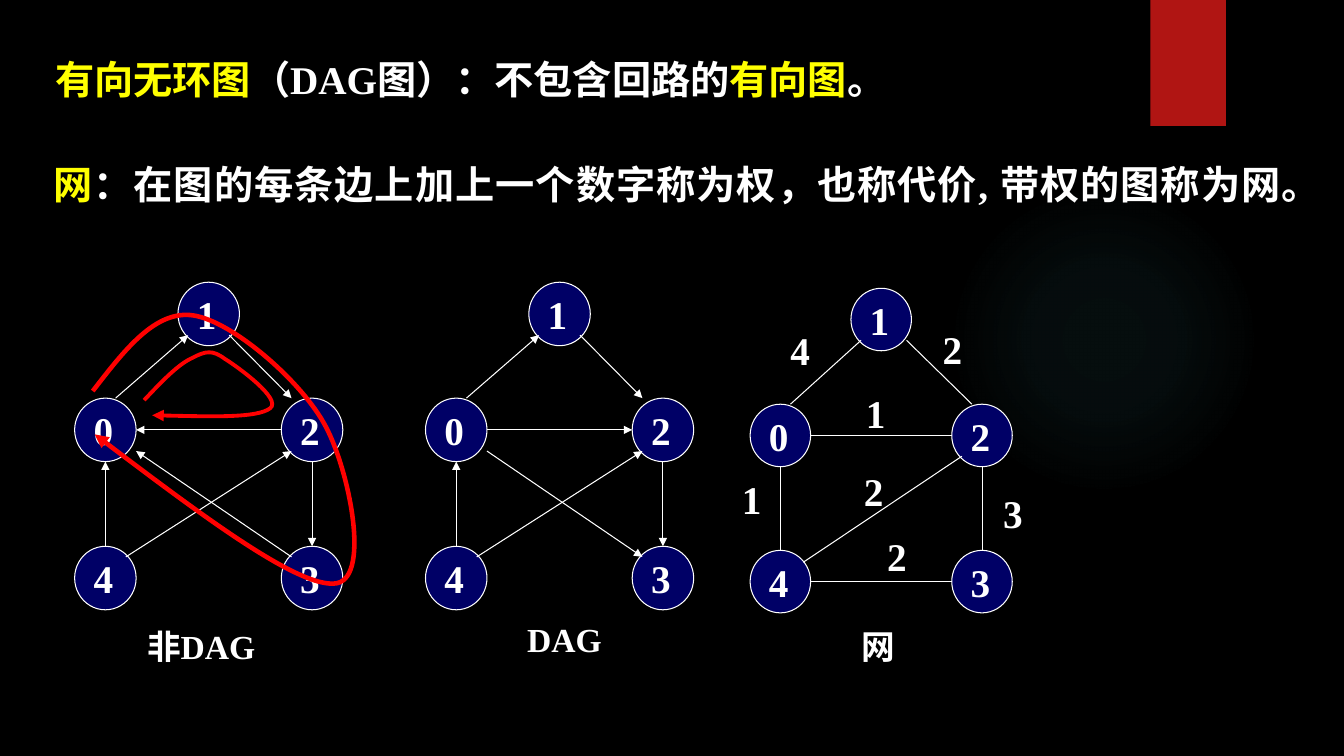
from lxml import etree
from pptx import Presentation
from pptx import util as u
from pptx.dml.color import RGBColor
from pptx.enum import lang, shapes, text
from pptx.oxml import parse_xml
from pptx.oxml.ns import qn

WHITE, YELLOW, RED, NAVY = "FFFFFF", "FFFF00", "FF0000", "000066"
NAMESPACE = "http://schemas.openxmlformats.org/drawingml/2006/main"

LOWER_LEFT, LOWER_RIGHT = (1 / 6, 5 / 6), (5 / 6, 5 / 6)
UPPER_LEFT, UPPER_RIGHT = (1 / 6, 1 / 6), (5 / 6, 1 / 6)
TOP, BOTTOM, LEFT, RIGHT = (0.5, 0), (0.5, 1), (0, 0.5), (1, 0.5)
TOP_FAR_LEFT, TOP_LEFT, TOP_RIGHT = (1 / 6, 0), (1 / 3, 0), (2 / 3, 0)
RIGHT_LOW = (1, 5 / 6)

SHARED_EDGES = [
    (0, TOP_RIGHT, 1, LOWER_LEFT),
    (1, LOWER_RIGHT, 2, TOP_FAR_LEFT),
    (4, TOP, 0, BOTTOM),
    (2, BOTTOM, 3, TOP),
    (4, UPPER_RIGHT, 2, LOWER_LEFT),
]
CYCLE_EDGES = [(2, LEFT, 0, RIGHT), (3, UPPER_LEFT, 0, RIGHT_LOW)]
ACYCLIC_EDGES = [(0, RIGHT, 2, LEFT), (0, RIGHT_LOW, 3, UPPER_LEFT)]
NET_EDGES = [
    (0, TOP_RIGHT, 1, LOWER_LEFT),
    (0, RIGHT, 2, LEFT),
    (1, (0.92, 5 / 6), 2, TOP_LEFT),
    (4, RIGHT, 3, LEFT),
    (2, BOTTOM, 3, TOP),
    (0, BOTTOM, 4, TOP),
    (4, (0.88, 0.19), 2, LOWER_LEFT),
]
WEIGHTS = [
    ("4", 7.74, 3.19),
    ("1", 7.26, 4.67),
    ("1", 8.49, 3.81),
    ("2", 9.25, 3.18),
    ("2", 8.47, 4.59),
    ("2", 8.7, 5.23),
    ("3", 9.85, 4.81),
]
INNER_LOOP = [
    (1.43, 3.97), (1.6, 3.79), (1.77, 3.61), (1.91, 3.55), (2.04, 3.48),
    (2.11, 3.47), (2.23, 3.56), (2.36, 3.64), (2.8, 3.96), (2.68, 4.05),
    (2.55, 4.15), (2.03, 4.13), (1.51, 4.12),
]
OUTER_LOOP = [
    (0.92, 3.88), (1.23, 3.48), (1.54, 3.07), (1.92, 3.13), (2.31, 3.19),
    (3, 3.79), (3.23, 4.23), (3.47, 4.68), (3.69, 5.78), (3.31, 5.79),
    (2.93, 5.81), (1.93, 5.06), (0.94, 4.31),
]


def color(value):
    return RGBColor.from_string(value)


def inches(*lengths):
    return [u.Inches(length) for length in lengths]


def write(frame, spans, size, align=None):
    para = frame.paragraphs[0]
    para.alignment = align
    style = {
        "name": "Times New Roman",
        "size": u.Pt(size),
        "bold": True,
        "language_id": lang.MSO_LANGUAGE_ID.SIMPLIFIED_CHINESE,
    }
    for words, shade in spans:
        span = para.add_run()
        span.text = words
        for name, value in style.items():
            setattr(span.font, name, value)
        span.font.color.rgb = color(shade)


def add_text(parent, place, spans, size, align=None):
    frame = parent.shapes.add_textbox(*inches(*place)).text_frame
    frame.word_wrap = True
    write(frame, spans, size, align)


def style_line(shape, shade, width, arrow):
    shape.line.color.rgb = color(shade)
    shape.line.width = u.Pt(width)
    if arrow:
        etree.SubElement(shape.line._get_or_add_ln(), qn("a:tailEnd"), type="triangle")


def add_edge(parent, start, end, arrow):
    edge = parent.shapes.add_connector(
        shapes.MSO_CONNECTOR.STRAIGHT, *inches(*start, *end)
    )
    style_line(edge, WHITE, 0.75, arrow)
    etree.SubElement(edge._element.spPr, qn("a:effectLst"))


def add_vertex(parent, place, label):
    vertex = parent.shapes.add_shape(shapes.MSO_SHAPE.OVAL, *inches(*place))
    vertex.shadow.inherit = False
    vertex.fill.solid()
    vertex.fill.fore_color.rgb = color(NAVY)
    style_line(vertex, WHITE, 0.75, False)
    frame = vertex.text_frame
    frame.word_wrap = False
    frame.vertical_anchor = text.MSO_ANCHOR.MIDDLE
    write(frame, [(label, WHITE)], 28, text.PP_ALIGN.LEFT)


def add_graph(page, origin, step, drop, size, edges, arrow):
    left, top = origin
    width, height = size
    corners = {
        1: (left + step, top),
        0: (left, top + 1.15),
        2: (left + 2 * step, top + 1.15),
        3: (left + 2 * step, top + drop),
        4: (left, top + drop),
    }

    def anchor(vertex, share):
        x, y = corners[vertex]
        return x + share[0] * width, y + share[1] * height

    group = page.shapes.add_group_shape()
    for vertex, corner in corners.items():
        add_vertex(group, (*corner, width, height), str(vertex))
    for start, leave, end, arrive in edges:
        add_edge(group, anchor(start, leave), anchor(end, arrive), arrow)


def add_loop(page, points, width):
    start, *rest = [inches(*point) for point in points]
    builder = page.shapes.build_freeform(*start)
    builder.add_line_segments(rest, close=False)
    loop = builder.convert_to_shape()
    steps = list(loop._element.iter(qn("a:lnTo")))
    for first in range(0, len(steps), 3):
        curve = etree.Element(qn("a:cubicBezTo"))
        steps[first].addprevious(curve)
        for step in steps[first:first + 3]:
            curve.append(step[0])
            step.getparent().remove(step)
    loop.shadow.inherit = False
    loop.fill.background()
    style_line(loop, RED, width, True)


def add_decor(page, kind, place, shade):
    decor = page.shapes.add_shape(kind, *inches(*place))
    decor.shadow.inherit = False
    decor.line.fill.background()
    decor.fill.solid()
    decor.fill.fore_color.rgb = color(shade)
    return decor


def add_glow(page):
    shade = "50B9C1"
    glow = add_decor(page, shapes.MSO_SHAPE.OVAL, (9.41, 1.83, 3.08, 3.08), shade)
    stops = "".join(
        f'<a:gs pos="{place * 1000}"><a:srgbClr val="{shade}">'
        f'<a:alpha val="{alpha * 1000}"/></a:srgbClr></a:gs>'
        for place, alpha in [(0, 7), (36, 6), (69, 0), (100, 0)]
    )
    gradient = parse_xml(
        f'<a:gradFill xmlns:a="{NAMESPACE}"><a:gsLst>{stops}</a:gsLst>'
        '<a:path path="circle"><a:fillToRect l="50000" t="50000" r="50000" b="50000"/>'
        '</a:path></a:gradFill>'
    )
    solid = glow._element.spPr.find(qn("a:solidFill"))
    solid.getparent().replace(solid, gradient)


def main():
    deck = Presentation()
    deck.slide_width, deck.slide_height = inches(13.33, 7.5)
    page = deck.slides.add_slide(deck.slide_layouts[6])
    page.background.fill.solid()
    page.background.fill.fore_color.rgb = color("000000")
    add_glow(page)
    add_decor(page, shapes.MSO_SHAPE.RECTANGLE, (11.41, 0, 0.75, 1.25), "B01513")

    justify = text.PP_ALIGN.JUSTIFY
    add_text(page, (0.45, 0.5, 9.17, 0.57), [
        ("有向无环图", YELLOW),
        ("（DAG图）：不包含回路的", WHITE),
        ("有向图", YELLOW),
        ("。", WHITE),
    ], 28, justify)
    add_text(page, (0.43, 1.54, 12.38, 0.57), [
        ("网", YELLOW),
        ("：在图的每条边上加上一个数字称为权，也称代价, 带权的图称为网。", WHITE),
    ], 28, justify)

    for left, edges in [(0.74, CYCLE_EDGES), (4.22, ACYCLIC_EDGES)]:
        add_graph(page, (left, 2.8), 1.025, 2.62, (0.61, 0.63),
                  SHARED_EDGES + edges, True)
    add_loop(page, INNER_LOOP, 2.75)
    add_loop(page, OUTER_LOOP, 3.25)
    add_graph(page, (7.44, 2.86), 1, 2.6, (0.6, 0.62), NET_EDGES, False)

    weights = page.shapes.add_group_shape()
    for label, left, top in WEIGHTS:
        add_text(weights, (left, top, 0.61, 0.57), [(label, WHITE)], 28)
    for caption, left, top, width in [
        ("非DAG", 1.36, 6.16, 2.29),
        ("DAG", 5.13, 6.09, 2.29),
        ("网", 8.45, 6.16, 0.66),
    ]:
        add_text(page, (left, top, width, 0.5), [(caption, WHITE)], 24)
    deck.save("out.pptx")


if __name__ == "__main__":
    main()
